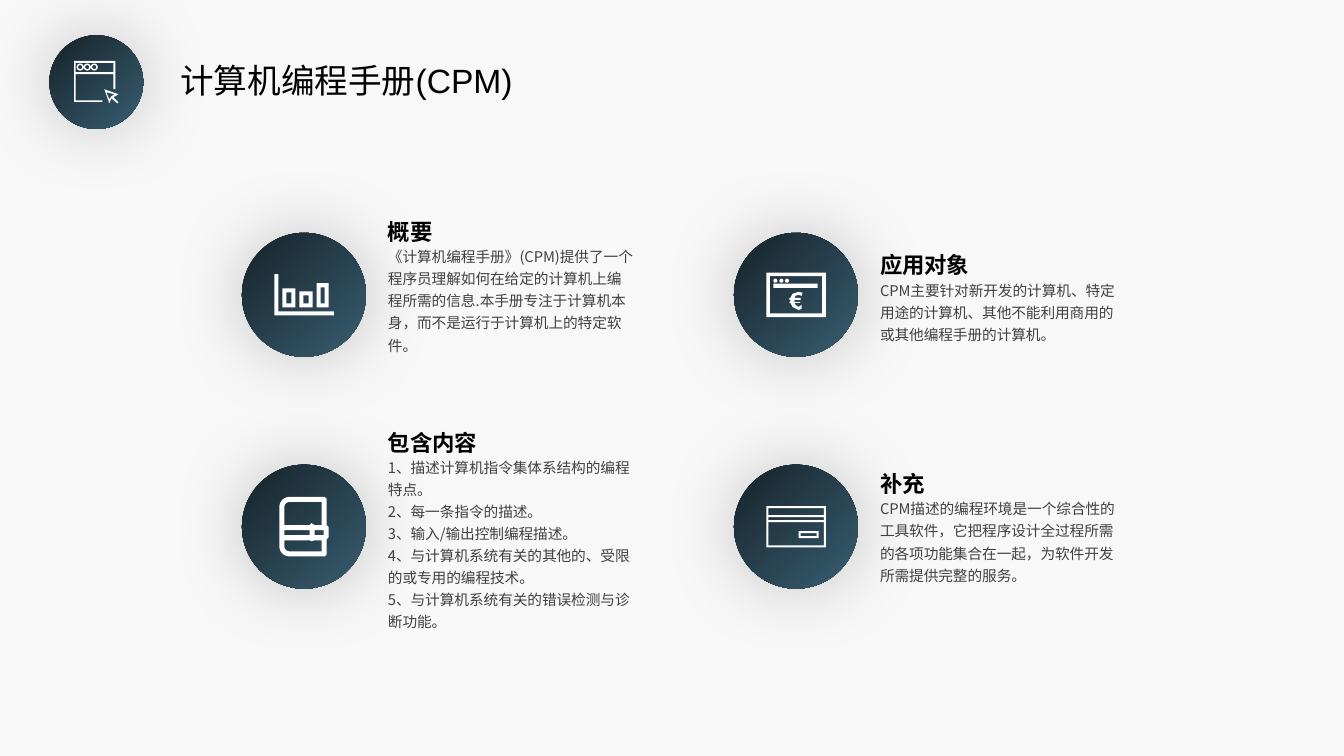
from dataclasses import dataclass
from math import cos, radians, sin

from lxml.etree import SubElement
from pptx import Presentation
from pptx.dml.color import RGBColor
from pptx.enum.text import MSO_AUTO_SIZE
from pptx.enum.shapes import MSO_SHAPE
from pptx.oxml.ns import qn
from pptx.util import Inches, Pt


@dataclass(frozen=True)
class Theme:
    """Colours, fonts and type sizes of the slide."""
    page: str = "F8F8F8"
    dark: str = "17232B"
    light: str = "395F72"
    icon: str = "FFFFFF"
    ink: str = "000000"
    grey: str = "404040"
    latin: str = "Arial"
    hans: str = "Noto Sans CJK SC"
    title: float = 24
    head: float = 16
    body: float = 10.5


THEME = Theme()
SIDE = 1.23


def rect(left, top, right, bottom):
    """Return the corners of a rectangle."""
    return [(left, top), (right, top), (right, bottom), (left, bottom)]


def frame(left, top, right, bottom, edge):
    """Return a hollow rectangle as two outlines."""
    return [rect(left, top, right, bottom),
            rect(left + edge, top + edge, right - edge, bottom - edge)]


def arc(x, y, radius, start=0, end=360):
    """Return points along an arc, clockwise in degrees."""
    steps = (end - start) // 15
    angles = [radians(start + 15 * step) for step in range(steps + 1)]
    return [(x + radius * cos(a), y + radius * sin(a)) for a in angles]


WINDOW = (44, 42, [
    [(0, 0), (41, 0), (41, 28), (39, 28), (39, 13), (1.5, 13),
     (1.5, 39), (28, 39), (28, 40.5), (0, 40.5)],
    rect(1.5, 2, 39, 11),
    *[arc(x, 6, r) for x in (6, 13, 20) for r in (3.5, 2)],
    [(30, 28), (44, 33), (39, 36), (44, 41), (43, 42), (37, 37), (35, 42)],
    [(32, 31), (35, 38), (37, 35), (40, 33)],
])
CHART = (59, 41, [
    [(0, 0), (4, 0), (4, 37), (59, 37), (59, 41), (0, 41)],
    *frame(8, 14, 21, 33, 4),
    *frame(25, 17, 38, 33, 4),
    *frame(42, 9, 54, 33, 4),
])
EURO = (59, 44, [
    *frame(0, 0, 59, 44, 3.5),
    rect(7, 11, 51, 15),
    *[arc(x, 8, 2) for x in (9, 15, 20.5)],
    [(32, 19), (36, 20), (35, 23), (32, 22), (29, 23), (28, 25), (34, 25),
     (34, 27), (28, 27), (28, 29), (34, 29), (33, 30), (28, 30), (29, 32),
     (32, 34), (35, 32), (35, 36), (32, 37), (26, 34), (24, 30), (23, 30),
     (23, 29), (24, 29), (24, 27), (23, 27), (23, 25), (24, 25), (26, 21)],
])
BOOK = (49, 59, [
    arc(10, 10, 10, 180, 270)
    + [(45, 0), (47, 2), (47, 28), (49, 30), (49, 40), (47, 42), (47, 57), (45, 59)]
    + arc(10, 49, 10, 90, 180),
    arc(10, 10, 5, 180, 270)
    + [(42, 5), (42, 28), (35, 28), (32, 26), (30, 28), (5, 28)],
    rect(5, 33, 30, 38),
    rect(35, 33, 44, 38),
    [(5, 43), (30, 43), (32, 44), (35, 43), (42, 43), (42, 54)]
    + arc(10, 49, 5, 90, 180),
])
CARD = (59, 41, [
    rect(0, 0, 59, 41),
    rect(2, 2, 57, 9),
    rect(2, 11, 57, 14),
    rect(2, 16, 57, 39),
    *frame(32, 25, 52, 32, 2),
])

TOPICS = [
    (0, 0, CHART, 2.37, 5, "概要", [
        "《计算机编程手册》(CPM)提供了一个程序员理解如何在给定的计算机上编程所需的信息."
        "本手册专注于计算机本身，而不是运行于计算机上的特定软件。"]),
    (0, 1, BOOK, 4.46, 8, "包含内容", [
        "1、描述计算机指令集体系结构的编程特点。",
        "2、每一条指令的描述。",
        "3、输入/输出控制编程描述。",
        "4、与计算机系统有关的其他的、受限的或专用的编程技术。",
        "5、与计算机系统有关的错误检测与诊断功能。"]),
    (1, 0, EURO, 2.7, 3, "应用对象", [
        "CPM主要针对新开发的计算机、特定用途的计算机、其他不能利用商用的或其他编程手册的计算机。"]),
    (1, 1, CARD, 4.87, 4, "补充", [
        "CPM描述的编程环境是一个综合性的工具软件，它把程序设计全过程所需的各项功能集合在一起，"
        "为软件开发所需提供完整的服务。"]),
]


def glow(shape):
    """Drop the outline and add a soft, centred shadow."""
    shape.line.fill.background()
    shape.shadow.inherit = False
    effects = shape._element.spPr.find(qn("a:effectLst"))
    shade = SubElement(effects, qn("a:outerShdw"), blurRad=str(Pt(53)),
                       dist="0", dir="0", algn="ctr", rotWithShape="0")
    tint = SubElement(shade, qn("a:srgbClr"), val=THEME.ink)
    SubElement(tint, qn("a:alpha"), val="20000")


def draw_icon(shapes, x, y, icon):
    """Draw an icon, in hundredths of an inch, centred on a point."""
    width, height, outlines = icon
    left, top = x - width / 200, y - height / 200
    pen = None
    for outline in outlines:
        points = [(Inches(left + a / 100), Inches(top + b / 100)) for a, b in outline]
        if pen is None:
            pen = shapes.build_freeform(*points[0])
        else:
            pen.move_to(*points[0])
        pen.add_line_segments(points[1:], close=True)
    shape = pen.convert_to_shape()
    shape.fill.solid()
    shape.fill.fore_color.rgb = RGBColor.from_string(THEME.icon)
    glow(shape)


def add_badge(slide, left, top, size, icon):
    """Add a gradient disc with an icon in its middle."""
    shapes = slide.shapes.add_group_shape().shapes
    disc = shapes.add_shape(MSO_SHAPE.OVAL, Inches(left), Inches(top),
                            Inches(size), Inches(size))
    disc.fill.gradient()
    disc.fill.gradient_angle = 315
    for stop, tone in zip(disc.fill.gradient_stops, (THEME.dark, THEME.light)):
        stop.color.rgb = RGBColor.from_string(tone)
    glow(disc)
    draw_icon(shapes, left + size / 2, top + size / 2, icon)


def add_text(shapes, box, lines, size, color, latin=THEME.hans, bold=False, pitch=None):
    """Add a wrapped text box with one paragraph per line."""
    shape = shapes.add_textbox(*[Inches(n) for n in box])
    text = shape.text_frame
    text.word_wrap = True
    text.auto_size = MSO_AUTO_SIZE.SHAPE_TO_FIT_TEXT
    text.text = "\n".join(lines)
    for para in text.paragraphs:
        para.line_spacing = pitch
        font = para.font
        font.size = Pt(size)
        font.bold = bold
        font.color.rgb = RGBColor.from_string(color)
        font.name = latin
        SubElement(para._p.pPr.find(qn("a:defRPr")), qn("a:ea"), typeface=THEME.hans)


def add_topic(slide, col, row, icon, top, count, head, lines):
    """Add a badge with its heading and body text."""
    left = 2.4 + 4.88 * col
    add_badge(slide, left, 2.31 + 2.3 * row, SIDE, icon)
    shapes = slide.shapes.add_group_shape().shapes
    add_text(shapes, (left + 1.35, top, 2.64, 0.1 + 0.22 * count), lines,
             THEME.body, THEME.grey, pitch=1.25)
    add_text(shapes, (left + 1.35, top - 0.31, 2.24, 0.42), [head],
             THEME.head, THEME.ink, bold=True, pitch=1.2)


def main():
    """Build the slide and save it."""
    deck = Presentation()
    deck.slide_width, deck.slide_height = Inches(13.33), Inches(7.5)
    slide = deck.slides.add_slide(deck.slide_layouts[6])
    slide.background.fill.solid()
    slide.background.fill.fore_color.rgb = RGBColor.from_string(THEME.page)
    add_badge(slide, 0.49, 0.35, 0.93, WINDOW)
    add_text(slide.shapes, (1.69, 0.55, 4.22, 0.5), ["计算机编程手册(CPM)"],
             THEME.title, THEME.ink, latin=THEME.latin)
    for topic in TOPICS:
        add_topic(slide, *topic)
    deck.save("out.pptx")


if __name__ == "__main__":
    main()
